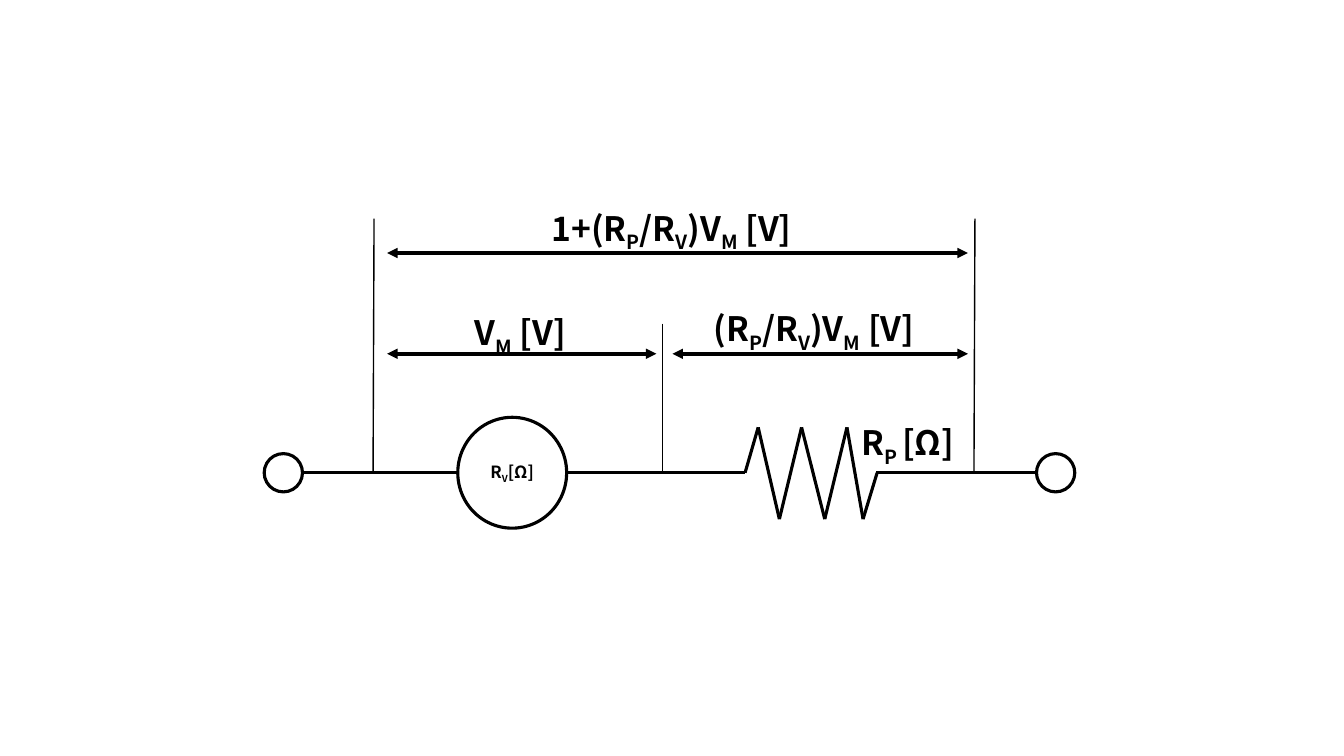
from dataclasses import dataclass
from itertools import pairwise

from lxml.etree import SubElement
from pptx import Presentation
from pptx.dml.color import RGBColor
from pptx.enum.shapes import MSO_CONNECTOR, MSO_SHAPE
from pptx.enum.text import MSO_ANCHOR, MSO_AUTO_SIZE, PP_ALIGN
from pptx.oxml.ns import qn
from pptx.util import Inches, Pt


@dataclass(frozen=True)
class Theme:
    """Colours, type sizes and line widths of the slide."""
    ink: RGBColor = RGBColor(0, 0, 0)
    paper: RGBColor = RGBColor(255, 255, 255)
    font: str = "Noto Sans CJK JP"
    label_size: Pt = Pt(24)
    meter_size: Pt = Pt(12)
    wire: Pt = Pt(2.25)
    dimension: Pt = Pt(2.5)
    extension: Pt = Pt(1)


THEME = Theme()
WIRE_Y = 4.69
TERMINAL_SIZE = 0.38
RATIO_PARTS = ("(R", "P", "/R", "V", ")V", "M", " [V]")


def add_formula(paragraph, parts, size):
    """Add runs that alternate between normal text and subscript."""
    for index, text in enumerate(parts):
        run = paragraph.add_run()
        run.text = text
        run.font.name = THEME.font
        run.font.size = size
        run.font.bold = True
        run.font.color.rgb = THEME.ink
        properties = run.font._element
        SubElement(properties, qn("a:ea"), typeface=THEME.font)
        if index % 2:
            properties.set("baseline", "-25000")


def add_circle(slide, left, top, width, height):
    """Add a white circle with a black outline."""
    shape = slide.shapes.add_shape(
        MSO_SHAPE.OVAL, Inches(left), Inches(top), Inches(width), Inches(height))
    shape.shadow.inherit = False
    shape.fill.solid()
    shape.fill.fore_color.rgb = THEME.paper
    shape.line.color.rgb = THEME.ink
    shape.line.width = THEME.wire
    return shape


def add_voltmeter(slide, left, top, width, height, parts):
    """Add the meter circle with its resistance inside."""
    frame = add_circle(slide, left, top, width, height).text_frame
    frame.vertical_anchor = MSO_ANCHOR.MIDDLE
    paragraph = frame.paragraphs[0]
    paragraph.alignment = PP_ALIGN.CENTER
    add_formula(paragraph, parts, THEME.meter_size)


def add_line(slide, start, end, width):
    """Add a straight black line between two points."""
    line = slide.shapes.add_connector(
        MSO_CONNECTOR.STRAIGHT, *map(Inches, (*start, *end)))
    line.line.color.rgb = THEME.ink
    line.line.width = width
    SubElement(line._element.spPr, qn("a:effectLst"))
    return line


def add_dimension(slide, left, right, y):
    """Add a horizontal arrow with a head at each end."""
    arrow = add_line(slide, (left, y), (right, y), THEME.dimension)
    outline = arrow.line._get_or_add_ln()
    for end in ("a:headEnd", "a:tailEnd"):
        SubElement(outline, qn(end), type="triangle")


def add_resistor(slide, points):
    """Join the corner points of the resistor with zigzag lines."""
    for start, end in pairwise(points):
        add_line(slide, start, end, THEME.wire)


def add_label(slide, left, top, width, parts):
    """Add a one-line formula label."""
    box = slide.shapes.add_textbox(
        Inches(left), Inches(top), Inches(width), Inches(0.5))
    frame = box.text_frame
    frame.word_wrap = False
    frame.auto_size = MSO_AUTO_SIZE.SHAPE_TO_FIT_TEXT
    add_formula(frame.paragraphs[0], parts, THEME.label_size)


def main():
    """Build the voltmeter and multiplier circuit."""
    presentation = Presentation()
    presentation.slide_width = Inches(13.33)
    presentation.slide_height = Inches(7.5)
    slide = presentation.slides.add_slide(presentation.slide_layouts[6])

    for left in (2.62, 10.28):
        add_circle(slide, left, WIRE_Y - TERMINAL_SIZE / 2,
                   TERMINAL_SIZE, TERMINAL_SIZE)
    add_voltmeter(slide, 4.54, 4.14, 1.08, 1.1, ("R", "V", "[Ω]"))

    for left, right in ((3.01, 4.55), (5.62, 7.39), (8.69, 10.28)):
        add_line(slide, (left, WIRE_Y), (right, WIRE_Y), THEME.wire)

    peak, trough = 4.24, 5.15
    add_resistor(slide, (
        (7.39, WIRE_Y), (7.52, peak), (7.73, trough), (7.95, peak),
        (8.18, trough), (8.4, peak), (8.56, trough), (8.7, WIRE_Y)))

    for top_x, bottom_x, top in ((3.71, 3.7, 2.17), (6.57, 6.57, 3.21),
                                 (9.67, 9.66, 2.17)):
        add_line(slide, (top_x, top), (bottom_x, WIRE_Y), THEME.extension)

    for left, right, y in ((3.84, 6.51, 3.51), (6.67, 9.6, 3.51),
                           (3.84, 9.6, 2.51)):
        add_dimension(slide, left, right, y)

    add_label(slide, 8.45, 4.14, 1.26, ("R", "P ", "[Ω]"))
    add_label(slide, 5.37, 2.01, 3.01, ("1+(R", *RATIO_PARTS[1:]))
    add_label(slide, 6.98, 3.01, 2.46, RATIO_PARTS)
    add_label(slide, 4.61, 3.05, 1.25, ("V", "M", " [V]"))

    presentation.save("out.pptx")


main()
